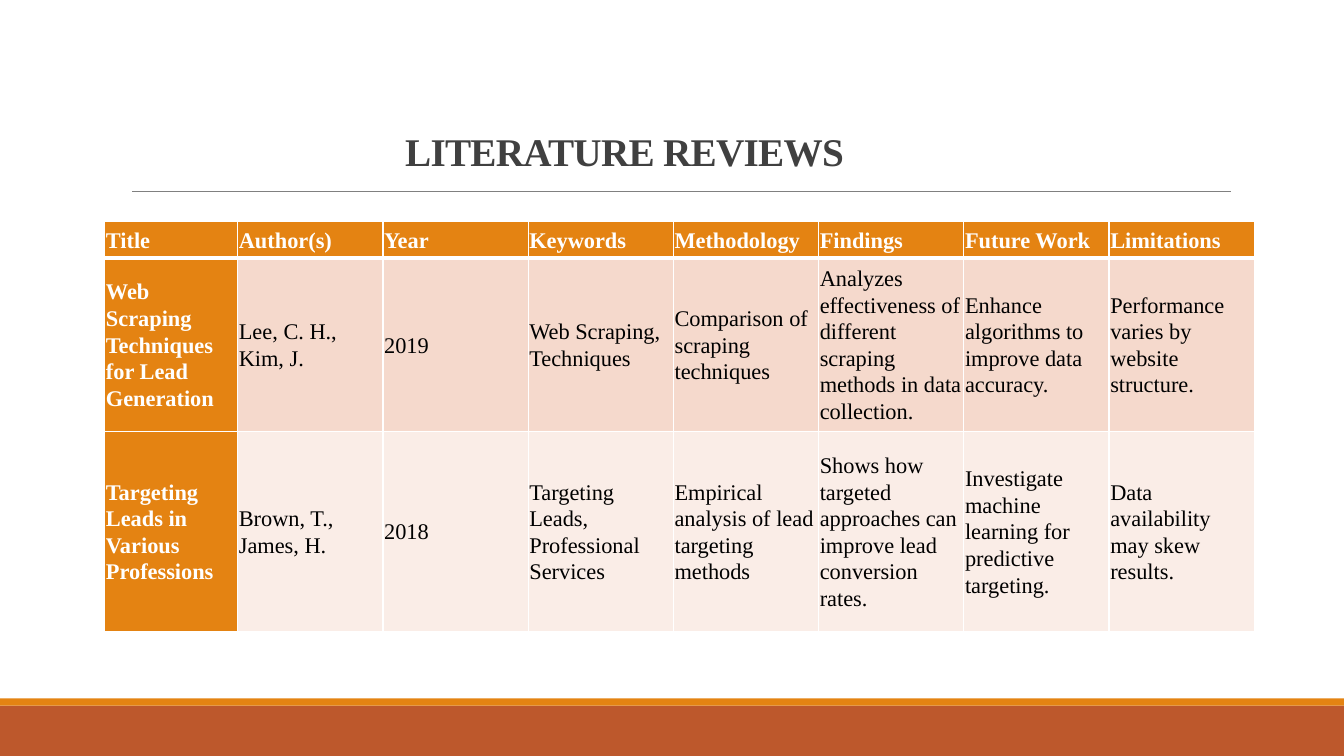
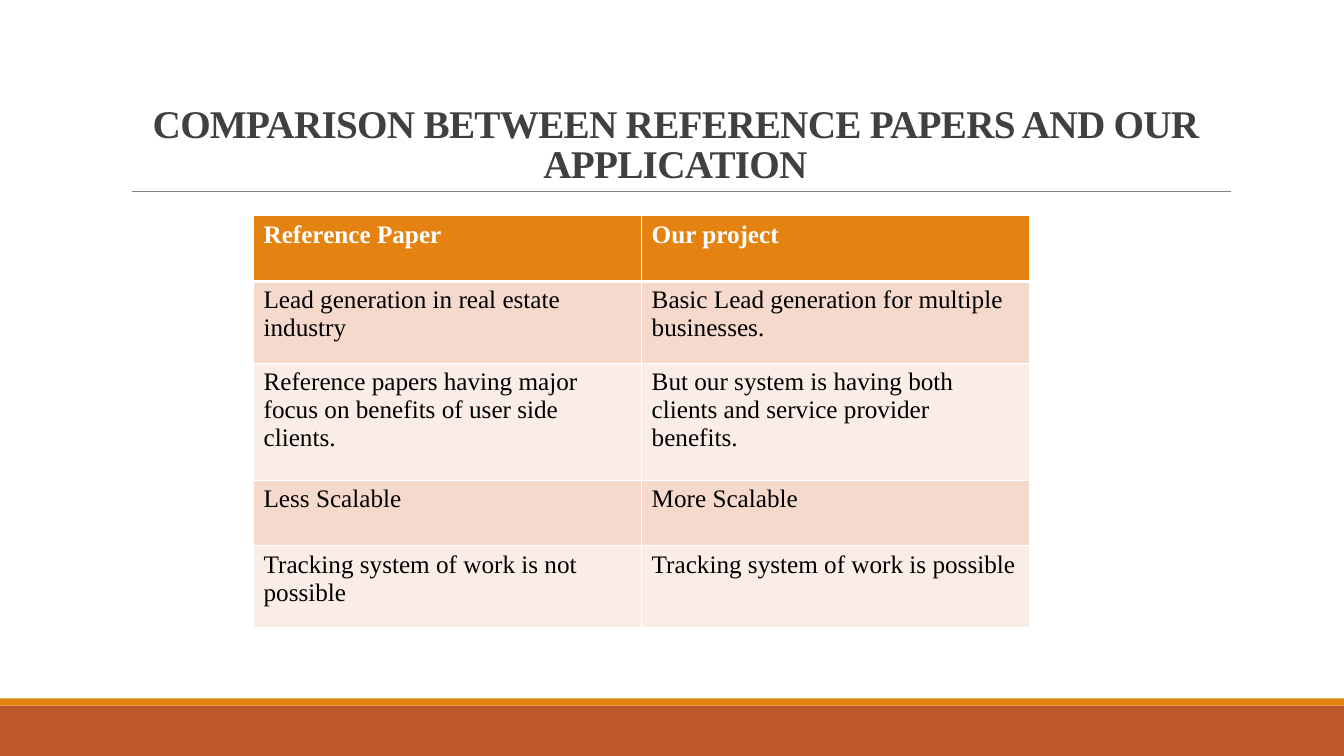
import pptx
import pptx.util
import pptx.dml.color
import pptx.enum.shapes
import pptx.enum.text
import pptx.oxml
from pptx.oxml import ns

Cm = pptx.util.Cm
Pt = pptx.util.Pt
RGBColor = pptx.dml.color.RGBColor
ANCHOR = pptx.enum.text.MSO_ANCHOR

ORANGE = RGBColor(0xE4, 0x83, 0x12)
RUST = RGBColor(0xBD, 0x58, 0x2C)
GRAY = RGBColor(0x80, 0x80, 0x80)
DARK = RGBColor(0x40, 0x40, 0x40)
BLACK = RGBColor(0, 0, 0)
WHITE = RGBColor(0xFF, 0xFF, 0xFF)
STRIPES = (RGBColor(0xF5, 0xD9, 0xCC), RGBColor(0xFA, 0xED, 0xE7))
FONT = "Times New Roman"
SLIDE_W, SLIDE_H = 33.87, 19.05

REVIEWS = [
    ["Title", "Author(s)", "Year", "Keywords", "Methodology", "Findings",
     "Future Work", "Limitations"],
    ["Web Scraping Techniques for Lead Generation", "Lee, C. H., Kim, J.", "2019",
     "Web Scraping, Techniques", "Comparison of scraping techniques",
     "Analyzes effectiveness of different scraping methods in data collection.",
     "Enhance algorithms to improve data accuracy.",
     "Performance varies by website structure."],
    ["Targeting Leads in Various Professions", "Brown, T., James, H.", "2018",
     "Targeting Leads, Professional Services",
     "Empirical analysis of lead targeting methods",
     "Shows how targeted approaches can improve lead conversion rates.",
     "Investigate machine learning for predictive targeting.",
     "Data availability may skew results."],
]

COMPARISON = [
    ["Reference Paper", "Our project"],
    ["Lead generation in real estate industry",
     "Basic Lead generation for multiple businesses."],
    ["Reference papers having major focus on benefits of user side clients.",
     "But our system is having both clients and service provider benefits."],
    ["Less Scalable", "More Scalable"],
    ["Tracking system of work is not possible",
     "Tracking system of work is possible"],
]


def add_band(s, top, height, color):
    sp = s.shapes.add_shape(pptx.enum.shapes.MSO_SHAPE.RECTANGLE,
                            0, Cm(top), Cm(SLIDE_W), Cm(height))
    sp.shadow.inherit = False
    sp.fill.solid()
    sp.fill.fore_color.rgb = color
    sp.line.fill.background()
    return sp


def add_rule(s, left, right, y):
    line = s.shapes.add_connector(pptx.enum.shapes.MSO_CONNECTOR.STRAIGHT,
                                  Cm(left), Cm(y), Cm(right), Cm(y))
    line.line.color.rgb = GRAY
    line.line.width = Pt(0.5)
    line.element.spPr.append(pptx.oxml.parse_xml(f"<a:effectLst {ns.nsdecls('a')}/>"))
    return line


def decorate_layout(layout, s):
    parts = [add_band(s, 17.78, 1.27, RUST),
             add_band(s, 17.6, 0.18, ORANGE),
             add_rule(s, 3.33, 31.01, 4.83)]
    for shape_id, part in enumerate(parts, 101):
        part.element.xpath(".//p:cNvPr")[0].set("id", str(shape_id))
        layout.shapes.element.append(part.element)


def set_title(s, text, box):
    title = s.shapes.title
    title.left, title.top, title.width, title.height = map(Cm, box)
    tf = title.text_frame
    tf.text = text
    tf.word_wrap = True
    tf.auto_size = pptx.enum.text.MSO_AUTO_SIZE.NONE
    tf.vertical_anchor = ANCHOR.BOTTOM
    p = tf.paragraphs[0]
    p.alignment = pptx.enum.text.PP_ALIGN.CENTER
    p.line_spacing = 0.85
    p.font.name = FONT
    p.font.size = Pt(28)
    p.font.bold = True
    p.font.color.rgb = DARK
    p.runs[0].font._element.set("spc", "-50")


def set_borders(cell, top, bottom):
    tcPr = cell._tc.get_or_add_tcPr()
    edges = (("lnL", 1), ("lnR", 1), ("lnT", top), ("lnB", bottom))
    for i, (tag, width) in enumerate(edges):
        tcPr.insert(i, pptx.oxml.parse_xml(
            f'<a:{tag} {ns.nsdecls("a")} w="{Pt(width)}"><a:solidFill>'
            f'<a:srgbClr val="{WHITE}"/></a:solidFill></a:{tag}>'))


def fill_cell(cell, text, size, row, accent):
    cell.text = text
    cell.fill.solid()
    cell.fill.fore_color.rgb = ORANGE if accent else STRIPES[(row - 1) % 2]
    set_borders(cell, 3 if row == 1 else 1, 3 if row == 0 else 1)
    p = cell.text_frame.paragraphs[0]
    p.font.name = FONT
    p.font.size = Pt(size)
    p.font.bold = accent
    p.font.color.rgb = WHITE if accent else BLACK
    return p


def tighten_cell(cell, p):
    cell.vertical_anchor = ANCHOR.MIDDLE
    cell.margin_left = cell.margin_right = cell.margin_top = cell.margin_bottom = Cm(0.03)
    p.line_spacing = 1.07
    p.space_after = Pt(8)


def add_grid(s, rows, left, top, widths, heights, size, compact=False):
    table = s.shapes.add_table(len(rows), len(widths), Cm(left), Cm(top),
                               Cm(sum(widths)), Cm(sum(heights))).table
    table.first_col = compact
    for column, width in zip(table.columns, widths):
        column.width = Cm(width)
    for i, (row, height) in enumerate(zip(rows, heights)):
        table.rows[i].height = Cm(height)
        for j, text in enumerate(row):
            cell = table.cell(i, j)
            p = fill_cell(cell, text, size, i, i == 0 or compact and j == 0)
            if compact:
                tighten_cell(cell, p)


def build_reviews(s):
    set_title(s, "LITERATURE REVIEWS", (4.04, 1.45, 23.39, 3.07))
    add_grid(s, REVIEWS, 2.64, 5.59, [3.35] + [3.66] * 7, [0.91, 4.37, 5.05],
             16, compact=True)


def build_comparison(s):
    set_title(s, "COMPARISON BETWEEN REFERENCE PAPERS AND OUR APPLICATION",
              (3.05, 0.79, 27.94, 4.04))
    add_grid(s, COMPARISON, 6.39, 5.44, [9.78] * 2, [1.65, 2.06, 2.95, 1.65, 2.06], 18)


def main():
    prs = pptx.Presentation()
    prs.slide_width, prs.slide_height = Cm(SLIDE_W), Cm(SLIDE_H)
    layout = prs.slide_layouts.get_by_name("Title Only")
    reviews, comparison = [prs.slides.add_slide(layout) for _ in range(2)]
    decorate_layout(layout, reviews)
    build_reviews(reviews)
    build_comparison(comparison)
    prs.save("out.pptx")


if __name__ == "__main__":
    main()
